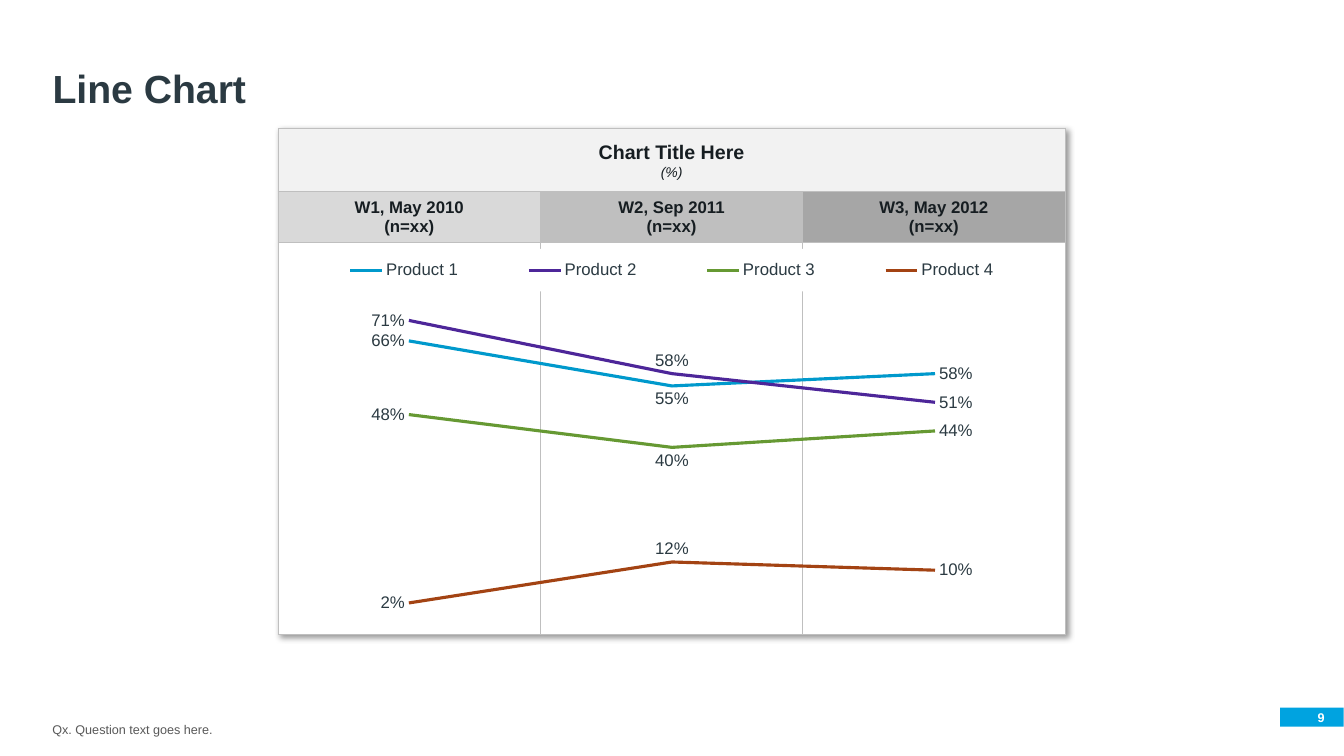
from dataclasses import dataclass

from lxml.etree import SubElement
from pptx import Presentation
from pptx.chart.data import CategoryChartData
from pptx.dml.color import RGBColor
from pptx.enum.chart import XL_CHART_TYPE, XL_LABEL_POSITION, XL_LEGEND_POSITION
from pptx.enum.shapes import MSO_SHAPE
from pptx.enum.text import MSO_ANCHOR, PP_ALIGN
from pptx.oxml import parse_xml
from pptx.oxml.ns import nsdecls, qn
from pptx.util import Cm, Pt


@dataclass(frozen=True)
class Theme:
    font: str = "Arial"
    heading: str = "2B3A42"
    table_text: str = "161D21"
    note: str = "595959"
    accent: str = "00A3E0"
    white: str = "FFFFFF"
    rule: str = "BFBFBF"
    title_fill: str = "F2F2F2"
    wave_fills: tuple = ("D9D9D9", "BFBFBF", "A6A6A6")
    title_size: int = 28
    chart_title_size: int = 14
    body_size: int = 12
    unit_size: int = 10
    small_size: int = 9


THEME = Theme()
WAVES = ("W1, May 2010", "W2, Sep 2011", "W3, May 2012")
LEFT, RIGHT = XL_LABEL_POSITION.LEFT, XL_LABEL_POSITION.RIGHT
ABOVE, BELOW = XL_LABEL_POSITION.ABOVE, XL_LABEL_POSITION.BELOW

# name, values, line colour, label position at the middle wave
PRODUCTS = (
    ("Product 1", (0.66, 0.55, 0.58), "0099CC", BELOW),
    ("Product 2", (0.71, 0.58, 0.51), "4D2699", ABOVE),
    ("Product 3", (0.48, 0.40, 0.44), "669933", BELOW),
    ("Product 4", (0.02, 0.12, 0.10), "A34313", ABOVE),
)


def set_values(target, values):
    for name, value in values.items():
        setattr(target, name, value)


def style_font(font, size, color, **values):
    set_values(font, {"name": THEME.font, "size": Pt(size), **values})
    font.color.rgb = RGBColor.from_string(color)


def paint(fill, color):
    fill.solid()
    fill.fore_color.rgb = RGBColor.from_string(color)


def add_span(para, text, size, color, **values):
    span = para.add_run()
    span.text = text
    style_font(span.font, size, color, **values)


def add_bar(page, place, color):
    box = page.shapes.add_shape(MSO_SHAPE.RECTANGLE, *map(Cm, place))
    box.shadow.inherit = False
    box.line.fill.background()
    paint(box.fill, color)
    return box


def add_title(page, text):
    title = page.shapes.title
    set_values(title, {"left": Cm(1.07), "top": Cm(0.81),
                       "width": Cm(31.5), "height": Cm(2.13)})
    title.text_frame.vertical_anchor = MSO_ANCHOR.BOTTOM
    para = title.text_frame.paragraphs[0]
    set_values(para, {"alignment": PP_ALIGN.LEFT, "line_spacing": 0.9})
    add_span(para, text, THEME.title_size, THEME.heading, bold=True)


def add_page_number(page, number):
    add_bar(page, (32.26, 17.83, 1.6, 0.48), THEME.accent)
    box = page.shapes.add_textbox(Cm(32.26), Cm(17.83), Cm(1.12), Cm(0.48))
    set_values(box.text_frame, {
        "word_wrap": True, "vertical_anchor": MSO_ANCHOR.MIDDLE,
        "margin_left": 0, "margin_right": 0, "margin_top": 0, "margin_bottom": 0})
    para = box.text_frame.paragraphs[0]
    para.alignment = PP_ALIGN.RIGHT
    add_span(para, number, THEME.small_size, THEME.white, bold=True)


def add_question(page, text):
    box = add_bar(page, (1.07, 17.75, 25.32, 0.94), THEME.white)
    set_values(box.text_frame, {"word_wrap": True, "vertical_anchor": MSO_ANCHOR.BOTTOM})
    para = box.text_frame.paragraphs[0]
    para.alignment = PP_ALIGN.LEFT
    add_span(para, text, THEME.small_size, THEME.note)


def format_cell(cell, color):
    paint(cell.fill, color)
    cell.vertical_anchor = MSO_ANCHOR.MIDDLE
    # Borders come before the fill in the cell properties
    properties = cell.fill._xPr
    for index, side in enumerate(("lnL", "lnR", "lnT", "lnB")):
        properties.insert(index, parse_xml(
            f'<a:{side} {nsdecls("a")} w="{Pt(0.5)}"><a:solidFill>'
            f'<a:srgbClr val="{THEME.rule}"/></a:solidFill></a:{side}>'))


def write_cell(cell, lines, line_spacing=1.0):
    para = cell.text_frame.paragraphs[0]
    set_values(para, {"alignment": PP_ALIGN.CENTER, "line_spacing": line_spacing})
    for index, (text, size, values) in enumerate(lines):
        if index:
            para.add_line_break()
        add_span(para, text, size, THEME.table_text, **values)


def add_wave_table(page):
    frame = page.shapes.add_table(3, 3, Cm(7.01), Cm(3.23), Cm(19.83), Cm(12.69))
    table = frame.table
    set_values(table, {"first_row": False, "horz_banding": False})
    for column in table.columns:
        column.width = Cm(6.61)
    for row, height in zip(table.rows, (1.6, 1.21, 9.88)):
        row.height = Cm(height)

    fills = ((THEME.title_fill,) * 3, THEME.wave_fills, (THEME.white,) * 3)
    for row, colors in zip(table.rows, fills):
        for cell, color in zip(row.cells, colors):
            format_cell(cell, color)

    table.cell(0, 0).merge(table.cell(0, 2))
    bold = {"bold": True}
    write_cell(table.cell(0, 0), (
        ("Chart Title Here", THEME.chart_title_size, bold),
        ("(%)", THEME.unit_size, {"bold": False, "italic": True})), 1.1)
    for column, wave in enumerate(WAVES):
        write_cell(table.cell(1, column), (
            (wave, THEME.body_size, bold), ("(n=xx)", THEME.body_size, bold)))

    # Soft shadow around the whole table
    table._tbl.tblPr.insert(0, parse_xml(
        f'<a:effectLst {nsdecls("a")}><a:outerShdw blurRad="50800" dist="38100" '
        'dir="2700000" algn="tl" rotWithShape="0"><a:srgbClr val="000000">'
        '<a:alpha val="40000"/></a:srgbClr></a:outerShdw></a:effectLst>'))


def make_layout(x, y, width, height, inner=False):
    layout = parse_xml(f'<c:layout {nsdecls("c")}><c:manualLayout/></c:layout>')
    values = {"layoutTarget": "inner"} if inner else {}
    values.update(xMode="edge", yMode="edge", x=x, y=y, w=width, h=height)
    for name, value in values.items():
        SubElement(layout[0], qn(f"c:{name}")).set("val", str(value))
    return layout


def make_blank_format(color=None):
    fill = f'<a:solidFill><a:srgbClr val="{color}"/></a:solidFill>' if color else "<a:noFill/>"
    return parse_xml(f'<c:spPr {nsdecls("c", "a")}>{fill}<a:ln><a:noFill/></a:ln></c:spPr>')


def arrange_chart(chart):
    root = chart.element.find(qn("c:chart"))
    root.addnext(make_blank_format())
    plot_area = root.find(qn("c:plotArea"))
    for layout in plot_area.findall(qn("c:layout")):
        plot_area.remove(layout)
    plot_area.insert(0, make_layout(0, 0.15, 1, 0.85, inner=True))
    # The white legend band interrupts the column rules
    legend = root.find(qn("c:legend"))
    for layout in legend.findall(qn("c:layout")):
        legend.remove(layout)
    overlay = legend.find(qn("c:overlay"))
    overlay.addprevious(make_layout(0.01, 0.06, 0.98, 0.11))
    overlay.addnext(make_blank_format(THEME.white))


def add_product_chart(page):
    data = CategoryChartData(number_format="0%")
    data.categories = ("1", "2", "3")
    for name, values, *_ in PRODUCTS:
        data.add_series(name, values)
    chart = page.shapes.add_chart(XL_CHART_TYPE.LINE, Cm(6.99), Cm(5.69),
                                  Cm(19.89), Cm(9.73), data).chart
    set_values(chart, {"has_title": False, "has_legend": True})
    style_font(chart.font, THEME.body_size, THEME.heading)
    set_values(chart.legend, {"position": XL_LEGEND_POSITION.RIGHT, "include_in_layout": True})
    set_values(chart.value_axis, {"minimum_scale": 0, "maximum_scale": 0.8,
                                  "has_major_gridlines": False, "visible": False})
    chart.category_axis.visible = False
    chart.plots[0].vary_by_categories = False

    for series, (_, _, color, middle) in zip(chart.plots[0].series, PRODUCTS):
        series.smooth = False
        series.format.line.width = Pt(2.25)
        paint(series.format.line.fill, color)
        set_values(series.data_labels, {"show_value": True, "number_format": "0%",
                                        "number_format_is_linked": False})
        for index, position in enumerate((LEFT, middle, RIGHT)):
            series.points[index].data_label.position = position
    arrange_chart(chart)


def main():
    deck = Presentation()
    set_values(deck, {"slide_width": Cm(33.87), "slide_height": Cm(19.05)})
    page = deck.slides.add_slide(deck.slide_layouts.get_by_name("Title Only"))
    add_page_number(page, "9")
    add_question(page, "Qx. Question text goes here.")
    add_title(page, "Line Chart")
    add_wave_table(page)
    add_product_chart(page)
    deck.save("out.pptx")


if __name__ == "__main__":
    main()
